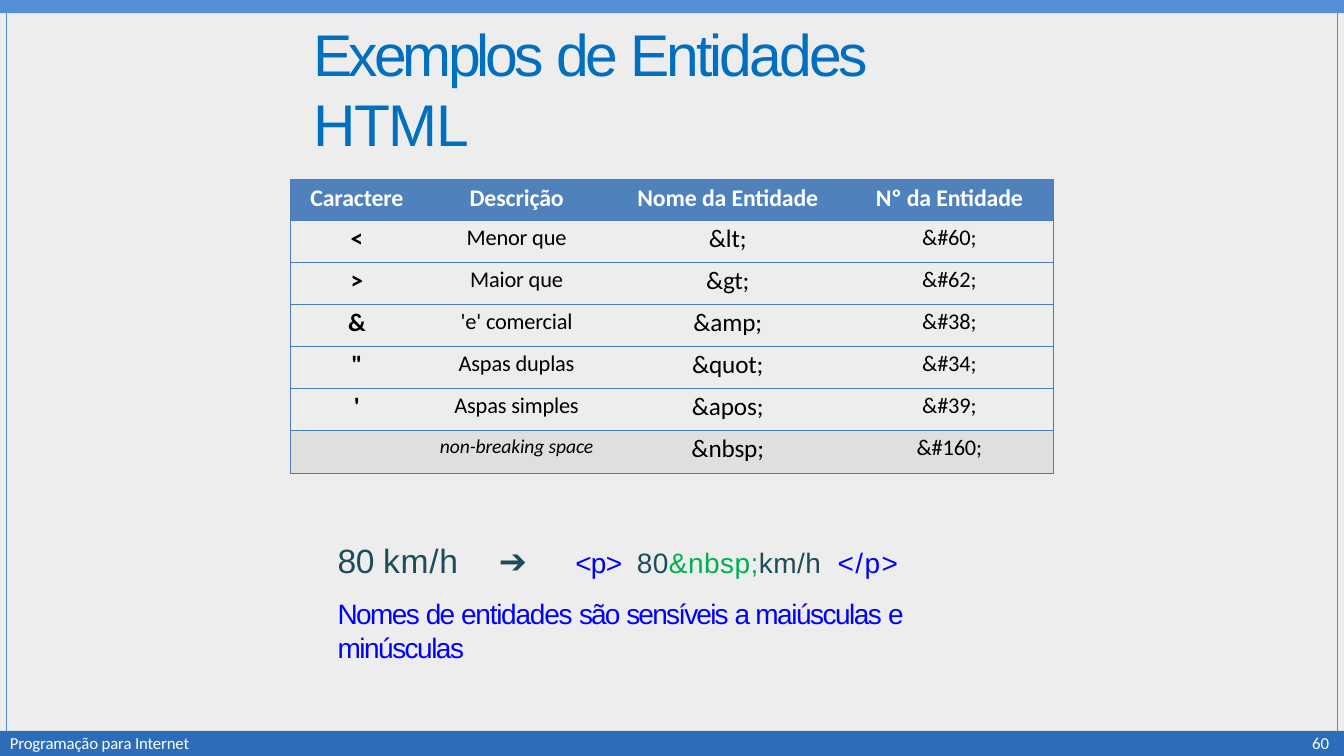
from dataclasses import dataclass

from lxml.etree import SubElement
from pptx import Presentation
from pptx.dml.color import RGBColor
from pptx.enum.shapes import MSO_SHAPE as Kind
from pptx.enum.text import MSO_ANCHOR as Anchor, MSO_AUTO_SIZE as Fit, PP_ALIGN as Align
from pptx.oxml import parse_xml
from pptx.oxml.ns import nsdecls, qn
from pptx.slide import Slide
from pptx.table import _Cell as Cell
from pptx.text.text import TextFrame, _Paragraph as Para
from pptx.util import Cm, Pt

WHITE = RGBColor(0xFF, 0xFF, 0xFF)
BLACK = RGBColor(0, 0, 0)
PALE = RGBColor(0xED, 0xED, 0xED)
GREY = RGBColor(0xDF, 0xDF, 0xDF)
SKY = RGBColor(0x54, 0x8E, 0xD4)
NAVY = RGBColor(0x2D, 0x6C, 0xB8)
HEAD = RGBColor(0x4F, 0x81, 0xBC)
EDGE = RGBColor(0x49, 0x7D, 0xBA)
AZURE = RGBColor(0x00, 0x6F, 0xC0)
TEAL = RGBColor(0x1C, 0x4D, 0x5A)
BLUE = RGBColor(0x00, 0x00, 0xFF)
GREEN = RGBColor(0x00, 0xAF, 0x50)
NO_STYLE = "{2D5ABB26-0587-4C30-8999-92F81FD0307C}"
WIDE, HIGH = 33.87, 19.05


@dataclass
class Box:
    left: float
    top: float
    width: float
    height: float

    def spot(self) -> tuple[Cm, Cm, Cm, Cm]:
        return Cm(self.left), Cm(self.top), Cm(self.width), Cm(self.height)


@dataclass
class Bit:
    """A run of text; gap is its letter spacing in points."""
    text: str
    size: float
    color: RGBColor
    gap: float = 0
    font: str = "Arial"
    bold: bool = False
    italic: bool = False


@dataclass
class Col:
    width: float
    size: float
    inset: float
    gap: float
    bold: bool = False


COLS = [Col(3.35, 18, 0.08, 0, True), Col(4.7, 16, 0.1, -0.1),
        Col(5.94, 18, 0.08, -0.1), Col(5.23, 16, 0.1, -0.1)]
ROWS = [
    ("Caractere", "Descrição", "Nome da Entidade", "Nº da Entidade"),
    ("<", "Menor que", "&lt;", "&#60;"),
    (">", "Maior que", "&gt;", "&#62;"),
    ("&", "'e' comercial", "&amp;", "&#38;"),
    ('"', "Aspas duplas", "&quot;", "&#34;"),
    ("'", "Aspas simples", "&apos;", "&#39;"),
    ("", "non-breaking space", "&nbsp;", "&#160;"),
]
TITLE = [("Exemplos ", -2.8), ("de ", -2.9), ("Entidades ", -2.1), ("HTML", -1.1)]
CODE = [
    Bit("80 ", 24, TEAL, -0.4), Bit("km/h\t", 24, TEAL, 0.5), Bit("➔\t", 24, TEAL),
    Bit("<p>\t", 20, BLUE, -0.5), Bit("80", 20, TEAL, 0.3),
    Bit("&nbsp;", 20, GREEN, 0.3), Bit("km/h\t", 20, TEAL, 0.3), Bit("</p>", 20, BLUE, 1),
]
NOTE = [("Nomes ", -1.2), ("de ", -1.4), ("entidades ", -0.9), ("são ", -1.4),
        ("sensíveis ", -1.3), ("a ", -1.8), ("maiúsculas ", -1.1), ("e ", -1.9),
        ("minúsculas", -1.1)]
TABS = [4.06, 5.99, 7.54, 12.6]


def write(para: Para, bits: list[Bit]) -> None:
    for bit in bits:
        run = para.add_run()
        run.text = bit.text
        font = run.font
        font.name, font.size = bit.font, Pt(bit.size)
        font.bold, font.italic = bit.bold, bit.italic
        font.color.rgb = bit.color
        run._r.get_or_add_rPr().set("spc", str(round(bit.gap * 100)))


def setup(frame: TextFrame, top: float = 0) -> Para:
    """Clear the insets but the top one and return the first paragraph."""
    frame.word_wrap = True
    frame.auto_size = Fit.SHAPE_TO_FIT_TEXT
    frame.vertical_anchor = Anchor.TOP
    frame.margin_left = frame.margin_right = frame.margin_bottom = 0
    frame.margin_top = Cm(top)
    return frame.paragraphs[0]


def block(slide: Slide, box: Box, fill: RGBColor | None, line: RGBColor | None = None) -> None:
    shape = slide.shapes.add_shape(Kind.RECTANGLE, *box.spot())
    shape.shadow.inherit = False
    if fill is None:
        shape.fill.background()
    else:
        shape.fill.solid()
        shape.fill.fore_color.rgb = fill
    if line is None:
        shape.line.fill.background()
    else:
        shape.line.color.rgb = line
        shape.line.width = Pt(0.75)


def head(slide: Slide) -> None:
    title = slide.shapes.title
    title.left, title.top, title.width, title.height = Box(7.9, 0.41, 18, 1.85).spot()
    para = setup(title.text_frame, 0.03)
    para.alignment = Align.LEFT
    write(para, [Bit(text, 42, AZURE, gap) for text, gap in TITLE])


def body(slide: Slide) -> None:
    frame = slide.shapes.add_textbox(*Box(8.51, 13.06, 17.32, 2.87).spot()).text_frame
    para = setup(frame, 0.54)
    tabs = SubElement(para._p.get_or_add_pPr(), qn("a:tabLst"))
    for tab in TABS:
        SubElement(tabs, qn("a:tab"), pos=str(Cm(tab)), algn="l")
    write(para, CODE)
    note = frame.add_paragraph()
    note.space_before = Pt(12.1)
    write(note, [Bit(text, 20, BLUE, gap) for text, gap in NOTE])


def label(slide: Slide, text: str, box: Box, gap: float = 0) -> None:
    para = setup(slide.shapes.add_textbox(*box.spot()).text_frame)
    para.line_spacing = Pt(12.4)
    write(para, [Bit(text, 12, WHITE, gap, "Calibri")])


def border(cell: Cell, sides: str) -> None:
    props = cell._tc.get_or_add_tcPr()
    for spot, side in enumerate(sides):
        props.insert(spot, parse_xml(
            f'<a:ln{side} {nsdecls("a")} w="{Pt(0.75)}"><a:solidFill>'
            f'<a:srgbClr val="{EDGE}"/></a:solidFill></a:ln{side}>'))


def grid(slide: Slide) -> None:
    shape = slide.shapes.add_table(len(ROWS), len(COLS), *Box(7.32, 4.52, 19.22, 7.42).spot())
    table = shape.table
    table.first_row = table.horz_banding = False
    table._tbl.tblPr.find(qn("a:tableStyleId")).text = NO_STYLE
    last = len(ROWS) - 1
    for y, row in enumerate(ROWS):
        table.rows[y].height = Cm(1.03 if y == 0 else 1.09 if y == last else 1.06)
        for x, (col, text) in enumerate(zip(COLS, row)):
            table.columns[x].width = Cm(col.width)
            cell = table.cell(y, x)
            cell.margin_left = cell.margin_right = cell.margin_bottom = 0
            cell.margin_top = Cm(col.inset if y else 0.1)
            cell.fill.solid()
            cell.fill.fore_color.rgb = HEAD if y == 0 else GREY if y == last else PALE
            border(cell, "L" * (x == 0) + "R" * (x == len(COLS) - 1) + "TB")
            para = cell.text_frame.paragraphs[0]
            para.alignment = Align.CENTER
            if y == 0:
                write(para, [Bit(text, 17, WHITE, -0.1, "Calibri", True)])
            elif text:
                slant = y == last and x == 1
                write(para, [Bit(text, 14 if slant else col.size, BLACK, col.gap,
                                 "Calibri", col.bold, slant)])


def main() -> None:
    deck = Presentation()
    deck.slide_width, deck.slide_height = Cm(WIDE), Cm(HIGH)
    slide = deck.slides.add_slide(deck.slide_layouts[5])
    block(slide, Box(0, 0.33, WIDE, 18.11), PALE)
    block(slide, Box(0.17, 0.13, 33.53, 18.4), None, SKY)
    block(slide, Box(0, 0, WIDE, 0.33), SKY)
    block(slide, Box(0, 18.42, WIDE, 0.63), NAVY)
    body(slide)
    label(slide, "Programação para Internet", Box(0.25, 18.54, 4.7, 0.48), -0.1)
    label(slide, "60", Box(33.07, 18.54, 0.6, 0.48))
    head(slide)
    grid(slide)
    # The title is drawn above the background blocks.
    tree = slide.shapes._spTree
    tree.append(slide.shapes.title._element)
    deck.save("out.pptx")


if __name__ == "__main__":
    main()
